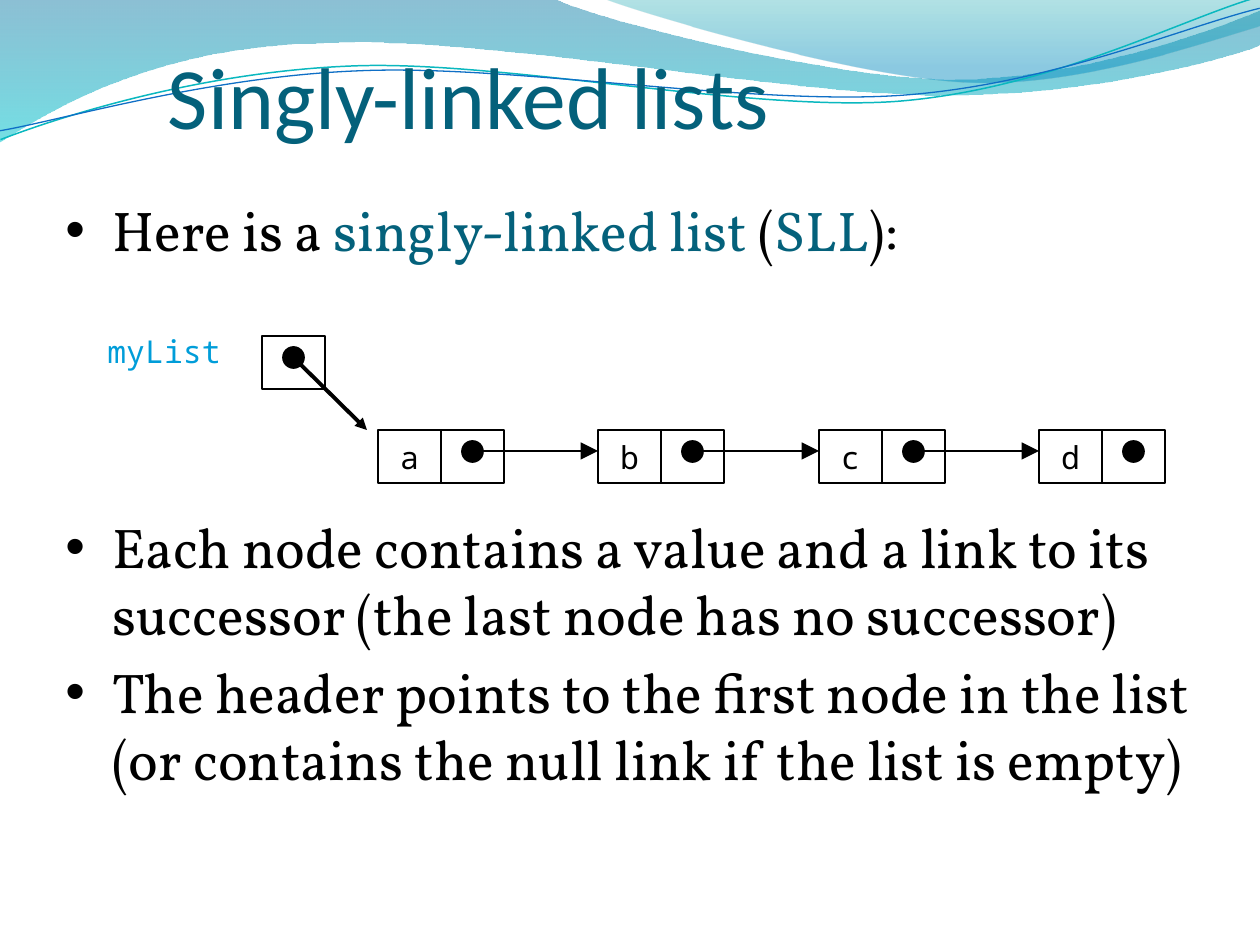
import pptx
import pptx.dml.color
import pptx.enum.shapes
import pptx.enum.text
import pptx.oxml.ns
import pptx.util
from lxml import etree

PX = pptx.util.Inches(1) / 126
COLORS = {"ink": "000000", "title": "04617B", "label": "009DD9",
          "teal": "0AB8BF", "blue": "0F6FC6"}
TITLE = {"name": "Calibri", "size": pptx.util.Pt(50)}
BODY = {"name": "Vollkorn", "size": pptx.util.Pt(32)}
CODE = {"name": "Noto Sans Mono", "size": pptx.util.Pt(18)}
SHAPES = pptx.enum.shapes.MSO_SHAPE
ANCHOR = pptx.enum.text.MSO_ANCHOR
CELL_W, CELL_H = 63, 53

# Each curve is (control, control, end); a lone point is a straight segment.
BANDS = [
    ((0, 0), [
        [(554, -1)],
        [(600, 21), (836, 79), (955, 79)],
        [(1075, 79), (1207, 33), (1260, 11)],
        [(1261, 45)],
        [(1239, 55), (1096, 96), (940, 95)],
        [(784, 95), (481, 35), (324, 43)],
        [(163, 45), (58, 105), (-1, 142)],
    ], [(0, "0074A1", 45), (1, "00C6CF", 55)]),
    ((604, -1), [
        [(641, 14), (859, 78), (969, 82)],
        [(1079, 87), (1211, 40), (1260, 26)],
        [(1260, 0)],
    ], [(0, "00A1A9", 30), (0.8, "008BBF", 45)]),
]
WAVES = [
    ((-2, 110), [
        [(58, 90), (199, 52), (350, 53)],
        [(498, 53), (745, 118), (896, 114)],
        [(1049, 109), (1184, 45), (1260, 27)],
    ], "teal", 0.85),
    ((-2, 101), [
        [(57, 94), (207, 57), (357, 58)],
        [(509, 58), (750, 112), (902, 108)],
        [(1052, 104), (1188, 52), (1262, 38)],
    ], "blue", 0.75),
]
WAVE_ROTATION = 357.3


def px(*lengths):
    return [round(length * PX) for length in lengths]


def rgb(value):
    return pptx.dml.color.RGBColor.from_string(value)


def sub(parent, tag, **attributes):
    return etree.SubElement(parent, pptx.oxml.ns.qn(tag), attributes)


def set_line(line, color, width):
    line.color.rgb = rgb(COLORS[color])
    line.width = pptx.util.Pt(width)


def add_outline(slide, start, segments, close):
    """Build a freeform through the segment ends, then curve its segments."""
    builder = slide.shapes.build_freeform(*px(*start))
    builder.add_line_segments([px(*segment[-1]) for segment in segments], close=close)
    outline = builder.convert_to_shape()
    outline.shadow.inherit = False
    path = next(outline.element.spPr.iter(pptx.oxml.ns.qn("a:path")))
    for command in list(path):
        path.remove(command)
    for segment in [None, *segments]:
        if segment is None:
            command, points = sub(path, "a:moveTo"), [start]
        else:
            tag = "a:lnTo" if len(segment) == 1 else "a:cubicBezTo"
            command, points = sub(path, tag), segment
        for point in points:
            x, y = px(*point)
            sub(command, "a:pt", x=str(x - outline.left), y=str(y - outline.top))
    if close:
        sub(path, "a:close")
    return outline


def add_band(slide, start, segments, stops):
    band = add_outline(slide, start, segments, True)
    band.line.fill.background()
    band.fill.gradient()
    band.fill.gradient_angle = 270
    for stop, (position, color, _) in zip(band.fill.gradient_stops, stops):
        stop.position = position
        stop.color.rgb = rgb(color)
    tints = band.element.spPr.iter(pptx.oxml.ns.qn("a:srgbClr"))
    for tint, (_, _, opacity) in zip(list(tints), stops):
        sub(tint, "a:alpha", val=str(opacity * 1000))


def add_wave(slide, start, segments, color, width):
    wave = add_outline(slide, start, segments, False)
    wave.rotation = WAVE_ROTATION
    wave.fill.background()
    set_line(wave.line, color, width)


def add_run(paragraph, text, style, color):
    run = paragraph.add_run()
    run.text = text
    for key, value in style.items():
        setattr(run.font, key, value)
    run.font.color.rgb = rgb(COLORS[color])


def add_text(slide, box, **frame_format):
    frame = slide.shapes.add_textbox(*px(*box)).text_frame
    for key, value in {"word_wrap": True, **frame_format}.items():
        setattr(frame, key, value)
    return frame


def add_bullets(slide, box, items):
    """Each item is a list of (text, color) runs."""
    frame = add_text(slide, box)
    for index, runs in enumerate(items):
        paragraph = frame.add_paragraph() if index else frame.paragraphs[0]
        indent = px(47)[0]
        properties = paragraph._p.get_or_add_pPr()
        properties.set("marL", str(indent))
        properties.set("indent", str(-indent))
        if index:
            paragraph.space_before = pptx.util.Pt(6)
        sub(properties, "a:buFont", typeface="Arial")
        sub(properties, "a:buChar", char="•")
        for text, color in runs:
            add_run(paragraph, text, BODY, color)


def add_cell(slide, left, top, value=None):
    cell = slide.shapes.add_shape(SHAPES.RECTANGLE, *px(left, top, CELL_W, CELL_H))
    cell.shadow.inherit = False
    cell.fill.background()
    set_line(cell.line, "ink", 1)
    if value:
        frame = cell.text_frame
        frame.word_wrap = False
        frame.vertical_anchor = ANCHOR.MIDDLE
        frame.paragraphs[0].alignment = pptx.enum.text.PP_ALIGN.CENTER
        add_run(frame.paragraphs[0], value, CODE, "ink")


def add_pointer(slide, left, top):
    """Draw a link cell with its dot and return the dot's centre."""
    add_cell(slide, left, top)
    dot = slide.shapes.add_shape(SHAPES.OVAL, *px(left + 21, top + 11, 21, 21))
    dot.shadow.inherit = False
    dot.fill.solid()
    dot.fill.fore_color.rgb = rgb(COLORS["ink"])
    set_line(dot.line, "ink", 1)
    return left + 31, top + 21


def add_arrow(slide, start, end, width, head):
    arrow = slide.shapes.add_connector(
        pptx.enum.shapes.MSO_CONNECTOR.STRAIGHT, *px(*start, *end))
    set_line(arrow.line, "ink", width)
    sub(arrow.line._get_or_add_ln(), "a:tailEnd", type="triangle", w=head, len=head)
    sub(arrow.element.spPr, "a:effectLst")


def add_linked_list(slide, values):
    node_top = 430
    lefts = [378 + index * 441 // 2 for index in range(len(values))]
    for index, (left, value) in enumerate(zip(lefts, values)):
        add_cell(slide, left, node_top, value)
        x, y = add_pointer(slide, left + CELL_W, node_top)
        if index + 1 < len(values):
            add_arrow(slide, (x, y), (lefts[index + 1], y), 1, "lg")
    header = add_pointer(slide, 262, 336)
    add_arrow(slide, header, (367, 430), 2.25, "med")
    label = add_text(slide, (95, 326, 179, 64))
    add_run(label.paragraphs[0], "myList", CODE, "label")


def main():
    deck = pptx.Presentation()
    deck.slide_width, deck.slide_height = px(1260, 945)
    slide = deck.slides.add_slide(deck.slide_layouts[6])
    for band in BANDS:
        add_band(slide, *band)
    for wave in WAVES:
        add_wave(slide, *wave)
    title = add_text(slide, (168, 31, 1074, 116), vertical_anchor=ANCHOR.BOTTOM,
                     margin_left=0, margin_right=0, margin_bottom=0)
    add_run(title.paragraphs[0], "Singly-linked lists", TITLE, "title")
    add_bullets(slide, (53, 189, 1182, 98), [
        [("Here is a ", "ink"), ("singly-linked list", "title"), (" (", "ink"),
         ("SLL", "title"), ("):", "ink")]])
    add_bullets(slide, (53, 506, 1182, 339), [
        [("Each node contains a value and a link to its successor "
          "(the last node has no successor)", "ink")],
        [("The header points to the first node in the list "
          "(or contains the null link if the list is empty)", "ink")]])
    add_linked_list(slide, "abcd")
    deck.save("out.pptx")


if __name__ == "__main__":
    main()
